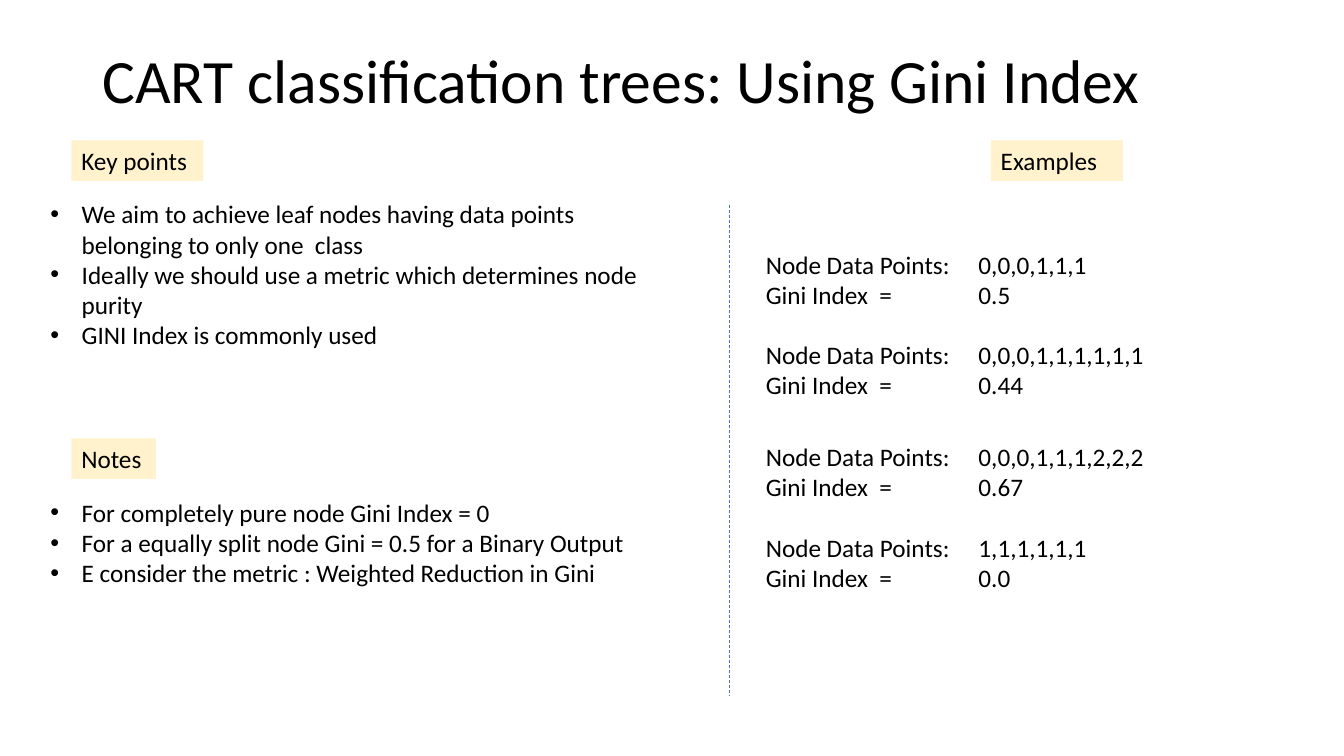
from dataclasses import dataclass

from lxml import etree
from pptx import Presentation
from pptx.dml.color import RGBColor
from pptx.enum import dml, shapes, text
from pptx.oxml import ns
from pptx.util import Cm, Pt

FONT = "Calibri"
BLACK = "000000"
LABEL_FILL = "FFF2CC"
DIVIDER_BLUE = "4472C4"
LABEL_HEIGHT = 1.02
BULLET_INDENT = 0.79
VALUE_TAB = 5.36


@dataclass
class Label:
    caption: str
    left: float
    top: float
    width: float


@dataclass
class BulletList:
    points: list[str]
    top: float
    height: float


@dataclass
class Example:
    data_points: str
    gini: str
    top: float


LABELS = [
    Label("Key points", 1.8, 3.54, 3.33),
    Label("Notes", 1.8, 11.05, 2.13),
    Label("Examples", 24.97, 3.54, 3.33),
]

BULLET_LISTS = [
    BulletList([
        "We aim to achieve leaf nodes having data points belonging to only one  class",
        "Ideally we should use a metric which determines node purity",
        "GINI Index is commonly used",
    ], 4.88, 4.11),
    BulletList([
        "For completely pure node Gini Index = 0",
        "For a equally split node Gini = 0.5 for a Binary Output",
        "E consider the metric : Weighted Reduction in Gini",
    ], 12.4, 2.57),
]

EXAMPLES = [
    Example("0,0,0,1,1,1", "0.5", 6.15),
    Example("0,0,0,1,1,1,1,1,1", "0.44", 8.43),
    Example("0,0,0,1,1,1,2,2,2", "0.67", 11.0),
    Example("1,1,1,1,1,1", "0.0", 13.28),
]


def colour(hex_code: str) -> RGBColor:
    return RGBColor.from_string(hex_code)


def add_bullet(paragraph) -> None:
    props = paragraph._p.get_or_add_pPr()
    props.set("marL", str(Cm(BULLET_INDENT)))
    props.set("indent", str(-Cm(BULLET_INDENT)))
    etree.SubElement(props, ns.qn("a:buFont")).set("typeface", "Arial")
    etree.SubElement(props, ns.qn("a:buChar")).set("char", "•")


def add_tab(paragraph, position: float) -> None:
    tabs = etree.SubElement(paragraph._p.get_or_add_pPr(), ns.qn("a:tabLst"))
    stop = etree.SubElement(tabs, ns.qn("a:tab"))
    stop.set("pos", str(Cm(position)))
    stop.set("algn", "l")


def write(frame, lines: list[str], *, size: float = 18, ink: str = BLACK,
          bullets: bool = False, tab: float | None = None,
          line_spacing: float | None = None,
          anchor=text.MSO_ANCHOR.TOP) -> None:
    frame.word_wrap = True
    frame.auto_size = text.MSO_AUTO_SIZE.NONE
    frame.vertical_anchor = anchor
    for index, line in enumerate(lines):
        paragraph = frame.add_paragraph() if index else frame.paragraphs[0]
        paragraph.alignment = text.PP_ALIGN.LEFT
        if line_spacing:
            paragraph.line_spacing = line_spacing
        if bullets:
            add_bullet(paragraph)
        if tab:
            add_tab(paragraph, tab)
        run = paragraph.add_run()
        run.text = line
        run.font.name = FONT
        run.font.size = Pt(size)
        run.font.color.rgb = colour(ink)


def draw_title(slide, heading: str) -> None:
    title = slide.shapes.title
    title.left, title.top = Cm(2.33), Cm(1.02)
    title.width, title.height = Cm(29.21), Cm(2.16)
    write(title.text_frame, [heading], size=44, line_spacing=0.9,
          anchor=text.MSO_ANCHOR.MIDDLE)


def draw_label(slide, label: Label) -> None:
    tag = slide.shapes.add_shape(
        shapes.MSO_SHAPE.RECTANGLE, Cm(label.left), Cm(label.top),
        Cm(label.width), Cm(LABEL_HEIGHT))
    tag.shadow.inherit = False
    tag.fill.solid()
    tag.fill.fore_color.rgb = colour(LABEL_FILL)
    tag.line.fill.background()
    write(tag.text_frame, [label.caption])


def draw_bullets(slide, bullet_list: BulletList) -> None:
    box = slide.shapes.add_textbox(
        Cm(1.02), Cm(bullet_list.top), Cm(15.37), Cm(bullet_list.height))
    write(box.text_frame, bullet_list.points, bullets=True)


def draw_example(slide, example: Example) -> None:
    box = slide.shapes.add_textbox(
        Cm(19.05), Cm(example.top), Cm(10.46), Cm(1.8))
    write(box.text_frame, [f"Node Data Points:\t{example.data_points}",
                           f"Gini Index  =\t{example.gini}"], tab=VALUE_TAB)


def draw_divider(slide) -> None:
    divider = slide.shapes.add_connector(
        shapes.MSO_CONNECTOR.STRAIGHT, Cm(18.39), Cm(5.16), Cm(18.39), Cm(17.55))
    divider.line.color.rgb = colour(DIVIDER_BLUE)
    divider.line.width = Pt(0.5)
    divider.line.dash_style = dml.MSO_LINE.DASH
    etree.SubElement(divider._element.spPr, ns.qn("a:effectLst"))


def main() -> None:
    deck = Presentation()
    deck.slide_width, deck.slide_height = Cm(33.87), Cm(19.05)
    slide = deck.slides.add_slide(deck.slide_layouts.get_by_name("Title Only"))

    # Heading and section labels
    draw_title(slide, "CART classification trees: Using Gini Index")
    for label in LABELS:
        draw_label(slide, label)

    # Left: key points and notes
    for bullet_list in BULLET_LISTS:
        draw_bullets(slide, bullet_list)

    # Right: worked examples beyond the divider
    draw_divider(slide)
    for example in EXAMPLES:
        draw_example(slide, example)

    deck.save("out.pptx")


if __name__ == "__main__":
    main()
